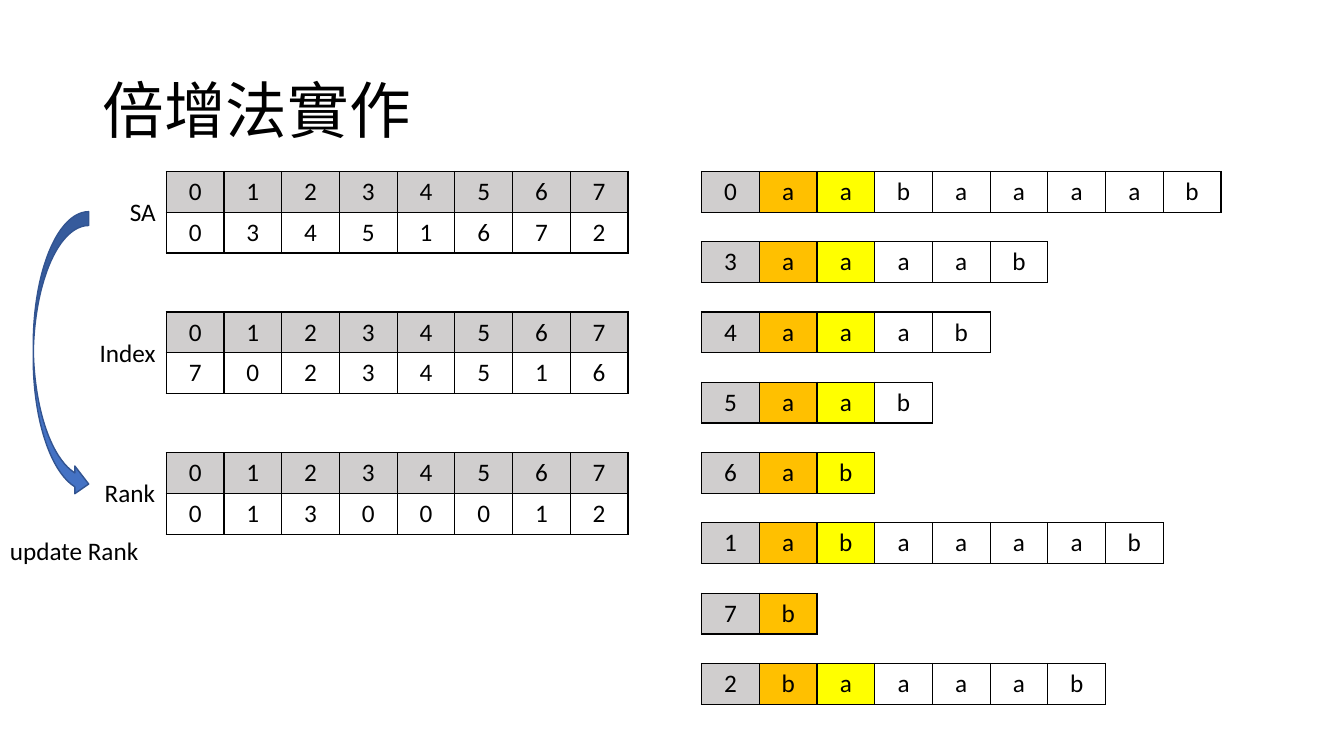
from lxml.etree import SubElement as Sub
from pptx import Presentation
from pptx.dml.color import RGBColor
from pptx.enum.shapes import MSO_SHAPE as Shape
from pptx.enum.text import MSO_ANCHOR as Anchor, MSO_AUTO_SIZE as Auto, PP_ALIGN as Align
from pptx.oxml.ns import qn
from pptx.util import Pt

SCALE = 2286
BLACK = RGBColor(0x00, 0x00, 0x00)
GRAY = RGBColor(0xD0, 0xCE, 0xCE)
ORANGE = RGBColor(0xFF, 0xC0, 0x00)
YELLOW = RGBColor(0xFF, 0xFF, 0x00)
BLUE = RGBColor(0x44, 0x72, 0xC4)
NAVY = RGBColor(0x32, 0x54, 0x91)

CELL_W, CELL_H = 229, 162
TOP, STEP = 680, 279
LEFT, RIGHT = 660, 2784
WORD = "aabaaaab"
ORDER = [0, 3, 4, 5, 6, 1, 7, 2]
ARRAYS = [
    ("SA", 184, "03451672"),
    ("Index", 304, "70234516"),
    ("Rank", 284, "01300012"),
]


class Board:
    """Draws styled elements on the current slide."""

    font = "Calibri"
    size = 18

    def __init__(self, deck):
        self.slide = deck.slides.add_slide(deck.slide_layouts[6])

    def box(self, *px):
        return [n * SCALE for n in px]

    def style(self, para, size=size):
        for run in para.runs:
            run.font.name = self.font
            run.font.size = Pt(size)
            run.font.color.rgb = BLACK

    def title(self, text, *px):
        frame = self.slide.shapes.add_textbox(*self.box(*px)).text_frame
        frame.word_wrap = True
        frame.vertical_anchor = Anchor.MIDDLE
        frame.text = text
        frame.paragraphs[0].line_spacing = 0.9
        self.style(frame.paragraphs[0], 44)

    def label(self, text, *px, wrap=False):
        frame = self.slide.shapes.add_textbox(*self.box(*px)).text_frame
        frame.word_wrap = wrap
        frame.auto_size = Auto.SHAPE_TO_FIT_TEXT
        frame.text = text
        self.style(frame.paragraphs[0])

    def border(self, cell):
        props = cell._tc.get_or_add_tcPr()
        for side in ("lnL", "lnR", "lnT", "lnB"):
            line = Sub(props, qn(f"a:{side}"), w=str(Pt(1)))
            fill = Sub(line, qn("a:solidFill"))
            Sub(fill, qn("a:srgbClr"), val=str(BLACK))

    def cell(self, cell, text, color):
        self.border(cell)
        if color is None:
            cell.fill.background()
        else:
            cell.fill.solid()
            cell.fill.fore_color.rgb = color
        cell.vertical_anchor = Anchor.MIDDLE
        cell.text_frame.text = text
        para = cell.text_frame.paragraphs[0]
        para.alignment = Align.CENTER
        self.style(para)

    def table(self, x, y, rows, fills):
        count = len(rows[0])
        area = self.box(x, y, count * CELL_W, len(rows) * CELL_H)
        table = self.slide.shapes.add_table(len(rows), count, *area).table
        table.first_row = table.horz_banding = False
        for col in table.columns:
            col.width = CELL_W * SCALE
        for r, (row, hues) in enumerate(zip(rows, fills)):
            table.rows[r].height = CELL_H * SCALE
            for c, (text, hue) in enumerate(zip(row, hues)):
                self.cell(table.cell(r, c), text, hue)

    def arrow(self, *px):
        shape = self.slide.shapes.add_shape(Shape.CURVED_RIGHT_ARROW, *self.box(*px))
        shape.shadow.inherit = False
        shape.fill.solid()
        shape.fill.fore_color.rgb = BLUE
        shape.line.color.rgb = NAVY
        shape.line.width = Pt(1)


def main():
    deck = Presentation()
    deck.slide_width, deck.slide_height = 5333 * SCALE, 3000 * SCALE
    board = Board(deck)
    board.title("倍增法實作", 368, 160, 4600, 580)

    size = len(WORD)
    for i, (name, width, row) in enumerate(ARRAYS):
        y = TOP + 2 * i * STEP
        board.table(LEFT, y, ["01234567", row], [[GRAY] * size, [None] * size])
        board.label(name, LEFT - width, y + 80, width, 160)

    hues = [GRAY, ORANGE, YELLOW] + [None] * (size - 2)
    for i, start in enumerate(ORDER):
        board.table(RIGHT, TOP + i * STEP, [f"{start}{WORD[start:]}"], [hues])

    board.arrow(132, 840, 220, 1136)
    board.label("update Rank", 0, 2104, 592, 160, wrap=True)
    deck.save("out.pptx")


if __name__ == "__main__":
    main()
